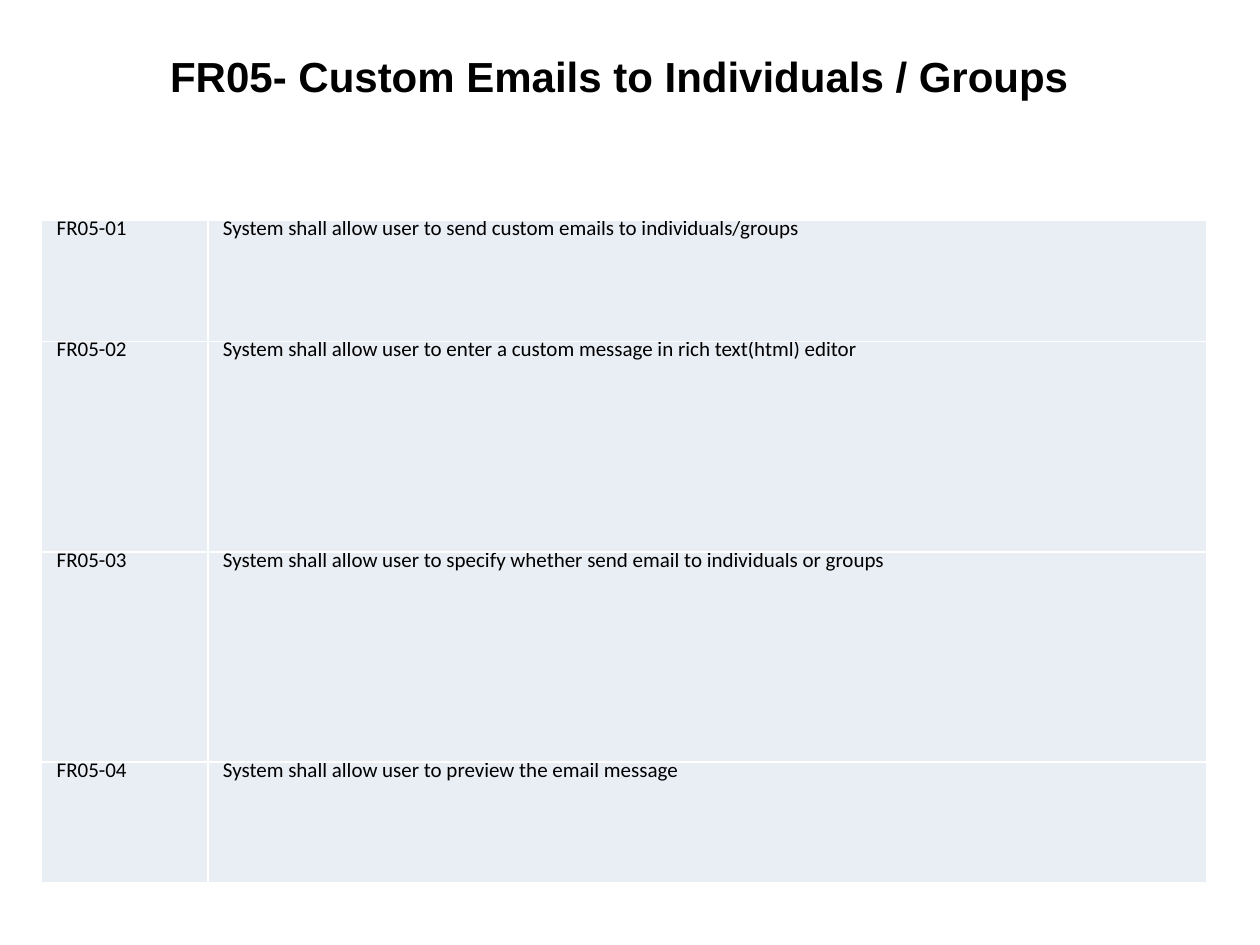
from pptx import Presentation
from pptx.dml.color import RGBColor
from pptx.enum.text import MSO_ANCHOR
from pptx.oxml.ns import qn
from pptx.util import Inches, Pt
from lxml.etree import SubElement

TITLE = "FR05- Custom Emails to Individuals / Groups"
# Requirement text and row height in inches
NEEDS = [
    ("System shall allow user to send custom emails to individuals/groups", 0.96),
    ("System shall allow user to enter a custom message in rich text(html) editor", 1.67),
    ("System shall allow user to specify whether send email to individuals or groups", 1.67),
    ("System shall allow user to preview the email message", 0.96),
]
COLS = (1.32, 7.93)
THEME = {
    "ink": "000000", "cell": "E9EDF4", "rule": "FFFFFF",
    "head": {"font": "Arial", "size": 24, "bold": True},
    "body": {"font": "Calibri", "size": 12, "lead": 12},
}


def write(frame, text, font, size, bold=False, lead=None):
    para = frame.paragraphs[0]
    if lead:
        para.line_spacing = Pt(lead)
    run = para.add_run()
    run.text = text
    run.font.name = font
    run.font.size = Pt(size)
    run.font.bold = bold
    run.font.color.rgb = RGBColor.from_string(THEME["ink"])


def border(cell):
    """Rule all four sides; borders must come before the fill in the XML."""
    props = cell._tc.get_or_add_tcPr()
    for side in ("a:lnL", "a:lnR", "a:lnT", "a:lnB"):
        line = SubElement(props, qn(side), w=str(Pt(1)))
        fill = SubElement(line, qn("a:solidFill"))
        SubElement(fill, qn("a:srgbClr"), val=THEME["rule"])


def style(cell):
    cell.margin_left = cell.margin_right = Inches(0.12)
    cell.margin_top = cell.margin_bottom = 0
    border(cell)
    cell.fill.solid()
    cell.fill.fore_color.rgb = RGBColor.from_string(THEME["cell"])


def add_title(slide):
    box = slide.shapes.add_textbox(Inches(1), Inches(0.35), Inches(7.65), Inches(0.81))
    frame = box.text_frame
    frame.word_wrap = True
    frame.vertical_anchor = MSO_ANCHOR.TOP
    frame.margin_left, frame.margin_right = Inches(0.35), 0
    write(frame, TITLE, **THEME["head"])


def add_needs(slide):
    high = sum(need[1] for need in NEEDS)
    table = slide.shapes.add_table(
        len(NEEDS), len(COLS), Inches(0.33), Inches(1.75),
        Inches(sum(COLS)), Inches(high)).table
    table.first_row = table.horz_banding = False
    for col, wide in zip(table.columns, COLS):
        col.width = Inches(wide)
    for num, (row, (text, tall)) in enumerate(zip(table.rows, NEEDS), 1):
        row.height = Inches(tall)
        for cell, words in zip(row.cells, (f"FR05-{num:02}", text)):
            style(cell)
            write(cell.text_frame, words, **THEME["body"])


def main():
    deck = Presentation()
    deck.slide_width, deck.slide_height = Inches(10), Inches(7.5)
    slide = deck.slides.add_slide(deck.slide_layouts[6])
    add_needs(slide)
    add_title(slide)
    deck.save("out.pptx")


if __name__ == "__main__":
    main()
